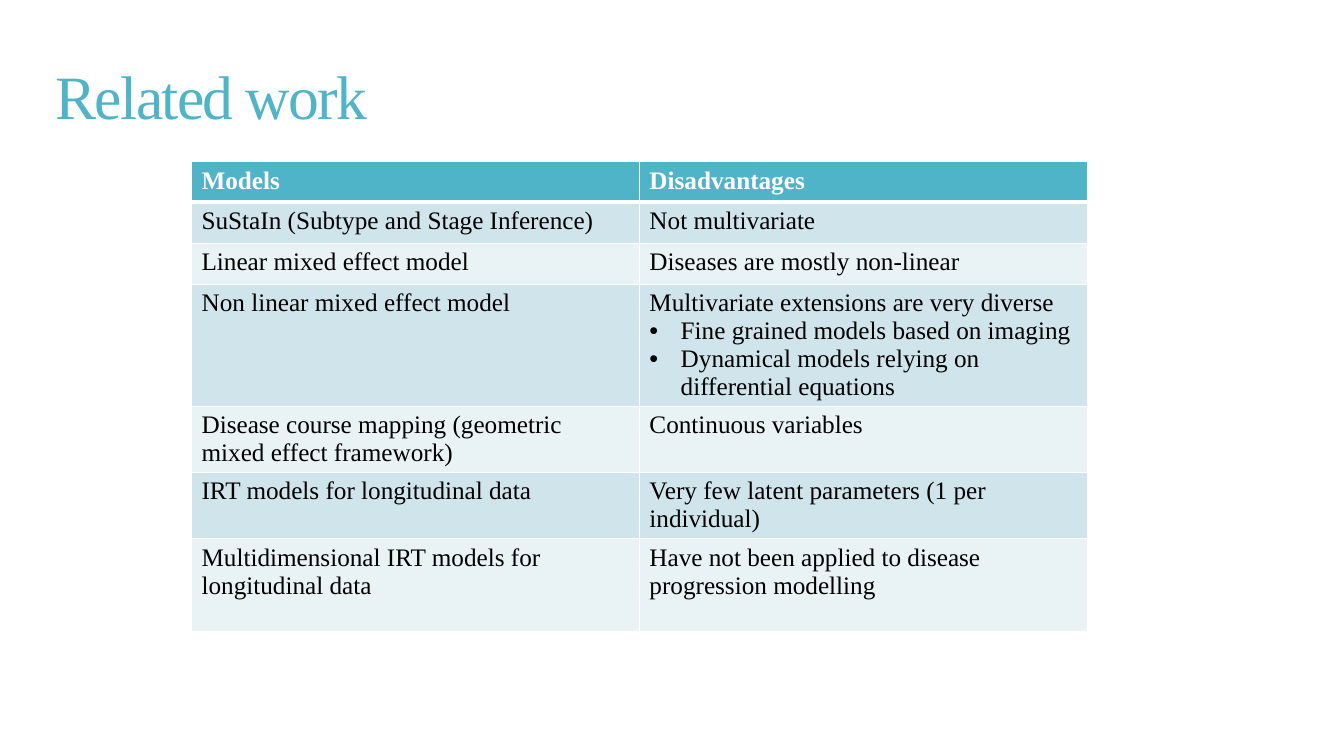
from collections import namedtuple

from lxml.etree import SubElement
from pptx import Presentation
from pptx.dml.color import RGBColor
from pptx.enum.text import MSO_ANCHOR, MSO_AUTO_SIZE, PP_ALIGN
from pptx.oxml.ns import qn
from pptx.util import Inches, Pt

FONT = "Times New Roman"
TEAL = "50B4C8"
WHITE = "FFFFFF"
BLACK = "000000"
BANDS = ("D0E5EB", "E9F2F5")

Box = namedtuple("Box", "left top width height")

HEADINGS = ("Models", "Disadvantages")
MODELS = [
    ("SuStaIn (Subtype and Stage Inference)", ["Not multivariate"]),
    ("Linear mixed effect model", ["Diseases are mostly non-linear"]),
    ("Non linear mixed effect model", [
        "Multivariate extensions are very diverse",
        "Fine grained models based on imaging",
        "Dynamical models relying on differential equations",
    ]),
    ("Disease course mapping (geometric mixed effect framework)",
     ["Continuous variables"]),
    ("IRT models for longitudinal data",
     ["Very few latent parameters (1 per individual)"]),
    ("Multidimensional IRT models for longitudinal data",
     ["Have not been applied to disease progression modelling"]),
]
ROW_SHARES = (40, 41, 41, 121, 66, 66, 92)


def color(value):
    return RGBColor.from_string(value)


def share_box(deck, left, top, width, height):
    across, down = deck.slide_width / 100, deck.slide_height / 100
    return Box(int(left * across), int(top * down),
               int(width * across), int(height * down))


def add_span(para, text, size, hue, bold=False):
    span = para.add_run()
    span.text = text
    span.font.name = FONT
    span.font.size = Pt(size)
    span.font.bold = bold
    span.font.color.rgb = color(hue)
    return span


def add_bullet(para):
    properties = para._p.get_or_add_pPr()
    properties.set("marL", str(Inches(0.31)))
    properties.set("indent", str(-Inches(0.31)))
    SubElement(properties, qn("a:buFont"), typeface="Arial")
    SubElement(properties, qn("a:buChar"), char="•")


def add_borders(cell, top, bottom):
    properties = cell._tc.get_or_add_tcPr()
    for side, weight in (("L", 1), ("R", 1), ("T", top), ("B", bottom)):
        line = SubElement(properties, qn(f"a:ln{side}"), w=str(Pt(weight)))
        fill = SubElement(line, qn("a:solidFill"))
        SubElement(fill, qn("a:srgbClr"), val=WHITE)


def fill_cell(cell, lines, row):
    header = row == 0
    add_borders(cell, top=3 if row == 1 else 1, bottom=3 if header else 1)
    cell.fill.solid()
    cell.fill.fore_color.rgb = color(TEAL if header else BANDS[(row - 1) % 2])
    for index, line in enumerate(lines):
        frame = cell.text_frame
        para = frame.add_paragraph() if index else frame.paragraphs[0]
        if index:
            add_bullet(para)
        add_span(para, line, 18, WHITE if header else BLACK, header)


def place_title(page, box, text):
    title = page.shapes.title
    title.left, title.top, title.width, title.height = box
    frame = title.text_frame
    frame.auto_size = MSO_AUTO_SIZE.NONE
    frame.vertical_anchor = MSO_ANCHOR.MIDDLE
    para = frame.paragraphs[0]
    para.alignment = PP_ALIGN.LEFT
    para.line_spacing = 0.85
    span = add_span(para, text, 44, TEAL)
    span.font._element.set("spc", "-120")


def place_models(page, box):
    rows = [([models], [drawbacks]) for models, drawbacks in [HEADINGS]]
    rows += [([model], drawbacks) for model, drawbacks in MODELS]
    table = page.shapes.add_table(len(rows), len(HEADINGS), *box).table
    for column in table.columns:
        column.width = box.width // len(HEADINGS)
    for row, (cells, share) in enumerate(zip(rows, ROW_SHARES)):
        table.rows[row].height = box.height * share // sum(ROW_SHARES)
        for column, lines in enumerate(cells):
            fill_cell(table.cell(row, column), lines, row)


def main():
    deck = Presentation()
    deck.slide_width, deck.slide_height = Inches(13.33), Inches(7.5)
    page = deck.slides.add_slide(deck.slide_layouts[5])
    place_title(page, share_box(deck, 3.38, 1.2, 88.37, 24.13), "Related work")
    place_models(page, share_box(deck, 14.25, 21.4, 66.65, 62.1))
    deck.save("out.pptx")


if __name__ == "__main__":
    main()
